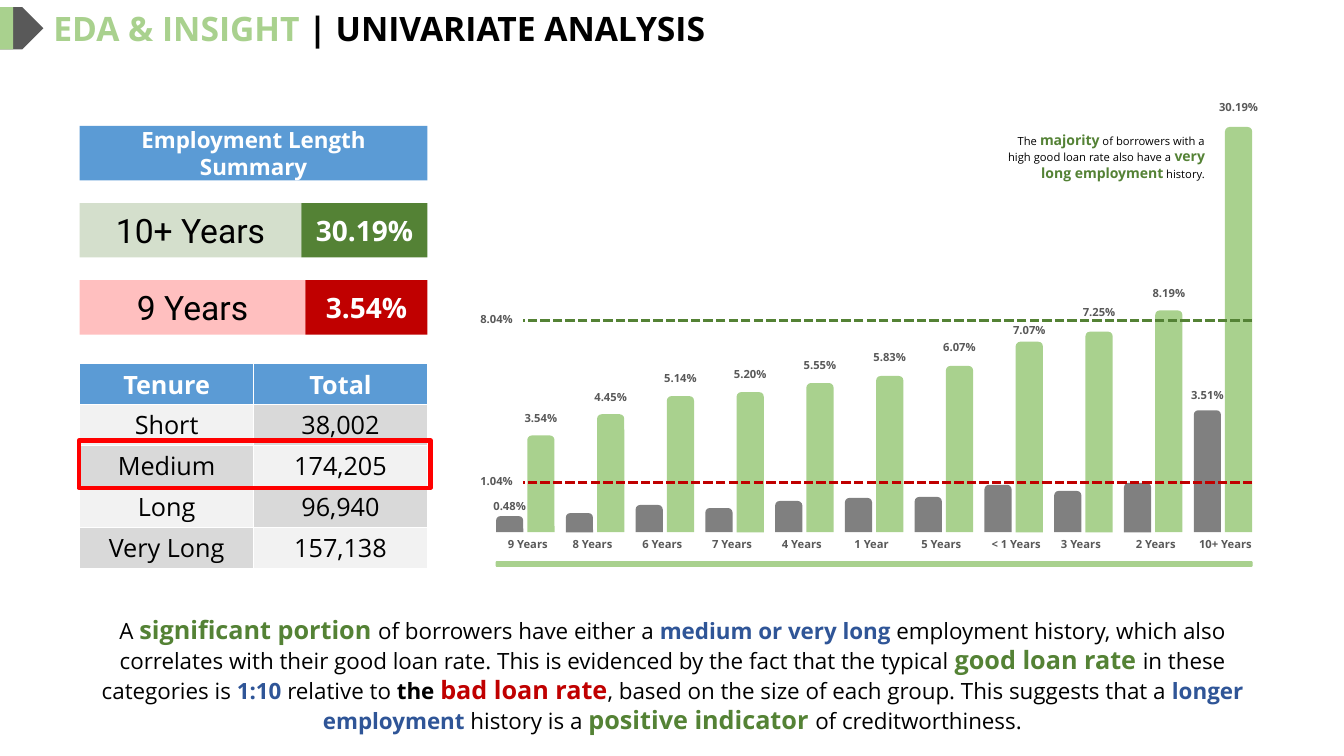
import pptx
import pptx.dml.color
import pptx.enum.dml
import pptx.enum.shapes
import pptx.enum.text
import pptx.oxml
import pptx.oxml.ns
import pptx.util

PX = 9144  # EMU per px, 100 px to the inch
COLORS = {
    "white": "FFFFFF", "black": "000000", "blue": "5B9BD5", "navy": "2F5597",
    "green": "548235", "lime": "A9D18E", "red": "C00000", "alert": "FF0000",
    "bar": "808080", "ink": "595959", "pale": "F2F2F2", "grey": "D9D9D9",
}
SHAPE = pptx.enum.shapes.MSO_SHAPE
ALIGN = pptx.enum.text.PP_ALIGN
MIDDLE = pptx.enum.text.MSO_ANCHOR.MIDDLE

# Bars from left to right: category, label nudge, grey top, green top, green label, gap above bar
BARS = [
    ("9 Years", 5, 512, 432, "3.54%", 29),
    ("8 Years", 0, 509, 411, "4.45%", 29),
    ("6 Years", 0, 501, 393, "5.14%", 30),
    ("7 Years", 0, 504, 389, "5.20%", 30),
    ("4 Years", 0, 497, 380, "5.55%", 29),
    ("1 Year", 0, 494, 373, "5.83%", 30),
    ("5 Years", 0, 493, 363, "6.07%", 30),
    ("< 1 Years", 5, 481, 339, "7.07%", 23),
    ("3 Years", 0, 487, 329, "7.25%", 31),
    ("2 Years", 5, 479, 308, "8.19%", 29),
    ("10+ Years", 5, 407, 126, "30.19%", 31),
]
TENURES = [("Tenure", "Total"), ("Short", "38,002"), ("Medium", "174,205"),
           ("Long", "96,940"), ("Very Long", "157,138")]


def px(*lengths):
    return [pptx.util.Emu(round(length * PX)) for length in lengths]


def rgb(name):
    return pptx.dml.color.RGBColor.from_string(COLORS[name])


def set_all(target, values):
    for name, value in values.items():
        setattr(target, name, value)


def write(frame, runs, align=ALIGN.CENTER, inset=(10, 5), anchor=None):
    """Each run is (text, size, colour, bold) with an optional font name."""
    side, top = px(*inset)
    set_all(frame, {"word_wrap": True, "margin_left": side, "margin_right": side,
                    "margin_top": top, "margin_bottom": top, "vertical_anchor": anchor})
    paragraph = frame.paragraphs[0]
    paragraph.alignment = align
    for text, size, color, bold, *face in runs:
        run = paragraph.add_run()
        run.text = text
        set_all(run.font, {"size": pptx.util.Pt(size), "bold": bold,
                           "name": face[0] if face else "Open Sans"})
        run.font.color.rgb = rgb(color)


def add_text(slide, box, runs, **layout):
    write(slide.shapes.add_textbox(*px(*box)).text_frame, runs, **layout)


def add_block(slide, kind, box, fill=None, line=None, width=1, opacity=None, runs=()):
    block = slide.shapes.add_shape(kind, *px(*box))
    block.shadow.inherit = False
    if fill:
        block.fill.solid()
        block.fill.fore_color.rgb = rgb(fill)
    else:
        block.fill.background()
    if opacity:
        color = block.fill._xPr.find(".//" + pptx.oxml.ns.qn("a:srgbClr"))
        color.append(pptx.oxml.parse_xml(
            f'<a:alpha {pptx.oxml.ns.nsdecls("a")} val="{opacity * 1000}"/>'))
    if line:
        block.line.color.rgb = rgb(line)
        block.line.width = pptx.util.Pt(width)
    else:
        block.line.fill.background()
    if runs:
        write(block.text_frame, runs, inset=(13, 13), anchor=MIDDLE)
    return block


def add_header(slide, x, y, width, height):
    add_block(slide, SHAPE.PENTAGON, (x, y, 43, height), "ink")
    add_block(slide, SHAPE.RECTANGLE, (x, y, 13, height), "lime")
    add_text(slide, (x + 43, y - 4, width - 43, 50),
             [("EDA & INSIGHT ", 24, "lime", True),
              ("| UNIVARIATE ANALYSIS", 24, "black", True)], align=ALIGN.LEFT)


def add_summary(slide, x, y, width, height):
    add_block(slide, SHAPE.RECTANGLE, (x, y, width, height), "blue",
              runs=[("Employment Length Summary", 16, "white", True)])
    rates = [("10+ Years", "30.19%", "green", "green", 220),
             ("9 Years", "3.54%", "red", "alert", 224)]
    for row, (tenure, rate, color, tint, split) in enumerate(rates, 1):
        top = y + row * 76.5
        add_block(slide, SHAPE.RECTANGLE, (x + split, top, width - split, height), color,
                  runs=[(rate, 20, "white", True)])
        add_block(slide, SHAPE.RECTANGLE, (x, top, split, height), tint, opacity=25,
                  runs=[(tenure, 24, "black", False, "Roboto")])


def add_tenure_table(slide, x, y, width, height):
    table = slide.shapes.add_table(len(TENURES), 2, *px(x, y, width, height)).table
    for row, values in enumerate(TENURES):
        table.rows[row].height = px(height / len(TENURES))[0]
        for column, value in enumerate(values):
            cell = table.cell(row, column)
            cell.fill.solid()
            body_fill = "grey" if (row + column) % 2 == 0 else "pale"
            cell.fill.fore_color.rgb = rgb(body_fill if row else "blue")
            top, bottom = px(3, 3)
            write(cell.text_frame, [(value, 18, "black" if row else "white", row == 0)])
            set_all(cell, {"margin_top": top, "margin_bottom": bottom,
                           "vertical_anchor": MIDDLE})
    # Frame around the medium tenure
    add_block(slide, SHAPE.RECTANGLE, (x - 1, y + 76, width + 4, 47), line="alert", width=3)


def add_rate_bars(slide, x, y, width, height):
    bar, step, base = 27, 69.2, y + height

    def add_label(text, center, top):
        add_text(slide, (center - 40.5, top, 81, 25), [(text, 8, "ink", True)])

    def add_bar(left, top, color):
        column = add_block(slide, SHAPE.ROUND_2_SAME_RECTANGLE,
                           (left, top, bar, base - top), color)
        column.adjustments[0] = 4.5 / min(bar, base - top)

    # Axis rule
    add_block(slide, SHAPE.ROUNDED_RECTANGLE, (x, base + 29, width, 5), "lime", "lime", 0.5)
    # Bars with categories and rates
    for index, (category, nudge, bad_top, good_top, rate, gap) in enumerate(BARS):
        left = x + index * step
        add_bar(left, bad_top, "bar")
        add_bar(left + 31, good_top, "lime")
        add_label(category, left + 26.5 + nudge, base)
        add_label(rate, left + 31 + bar / 2, good_top - gap)
    add_label("0.48%", x + bar / 2, BARS[0][2] - 22)
    add_label("3.51%", x + 10 * step + bar / 2, BARS[-1][2] - 27)
    # Typical rates
    for rate, level, color in [("8.04%", 318, "green"), ("1.04%", 479, "red")]:
        typical = slide.shapes.add_connector(
            pptx.enum.shapes.MSO_CONNECTOR.STRAIGHT, *px(x + width, level, x + 27, level))
        typical.line.color.rgb = rgb(color)
        set_all(typical.line, {"width": pptx.util.Pt(2.25),
                               "dash_style": pptx.enum.dml.MSO_LINE.SQUARE_DOT})
        typical._element.spPr.append(pptx.oxml.parse_xml(
            f'<a:effectLst {pptx.oxml.ns.nsdecls("a")}/>'))
        add_label(rate, x + 0.5, level - 13)
    # Remark beside the tallest bar
    add_text(slide, (x + 485, y, 231, 58), [
        ("The ", 8, "black", False), ("majority", 10, "green", True),
        (" of borrowers with a high good loan rate also have a ", 8, "black", False),
        ("very long employment", 10, "green", True), (" history.", 8, "black", False),
    ], align=ALIGN.RIGHT, inset=(13, 13), anchor=MIDDLE)


def add_conclusion(slide, *box):
    add_text(slide, box, [
        ("A ", 16, "black", False),
        ("significant portion ", 18, "green", True),
        ("of borrowers have either a ", 16, "black", False),
        ("medium or very long ", 16, "navy", True),
        ("employment history, which also correlates with their good loan rate. "
         "This is evidenced by the fact that the typical ", 16, "black", False),
        ("good loan rate ", 18, "green", True),
        ("in these categories is ", 16, "black", False),
        ("1:10 ", 16, "navy", True),
        ("relative to ", 16, "black", False),
        ("the ", 16, "black", True),
        ("bad loan rate", 18, "red", True),
        (", based on the size of each group. This suggests that a ", 16, "black", False),
        ("longer employment", 16, "navy", True),
        (" history is a ", 16, "black", False),
        ("positive indicator ", 18, "green", True),
        ("of creditworthiness.", 16, "black", False),
    ], inset=(13, 13), anchor=MIDDLE)


def main():
    deck = pptx.Presentation()
    deck.slide_width, deck.slide_height = px(1333, 750)
    slide = deck.slides.add_slide(deck.slide_layouts[6])
    add_header(slide, 0, 7, 1148, 42)
    add_summary(slide, 79, 125, 345, 54)
    add_tenure_table(slide, 79, 361, 345, 203)
    add_rate_bars(slide, 492, 126, 750, 402)
    add_conclusion(slide, 67, 637, 1200, 64)
    deck.save("out.pptx")


if __name__ == "__main__":
    main()
